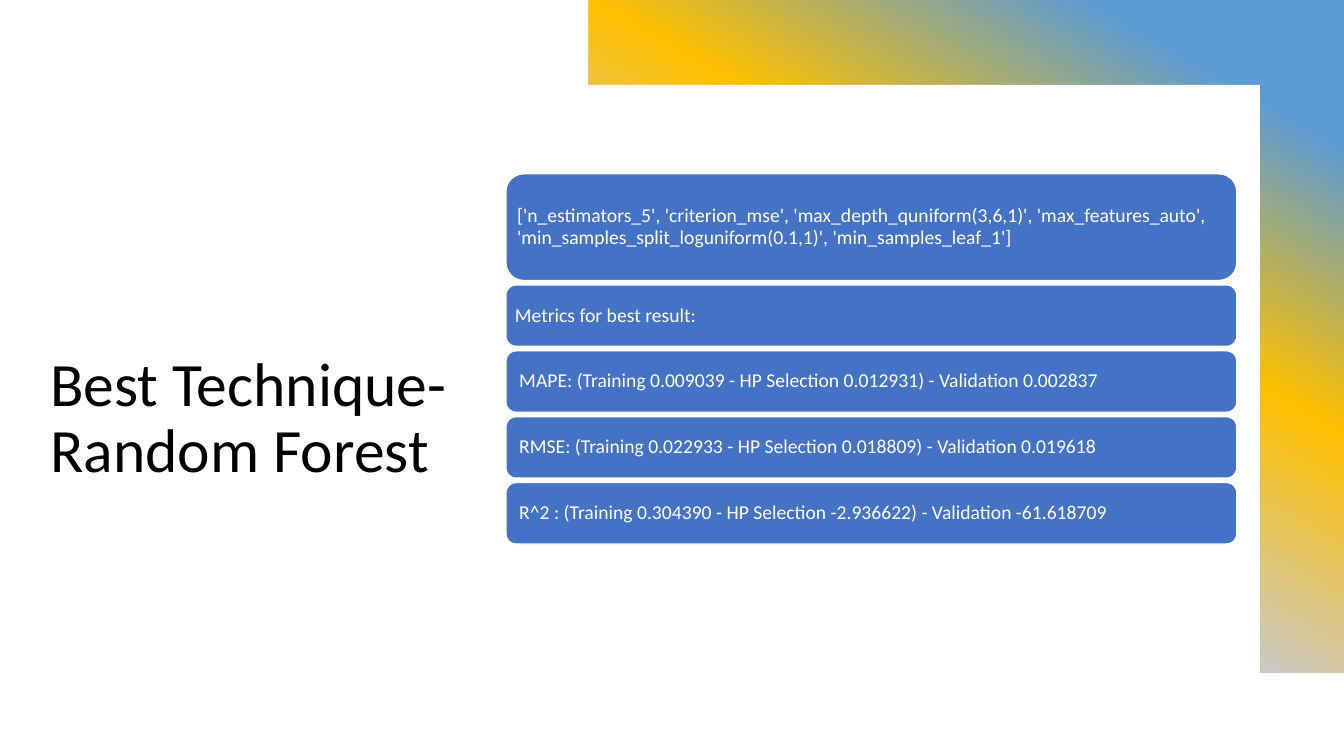
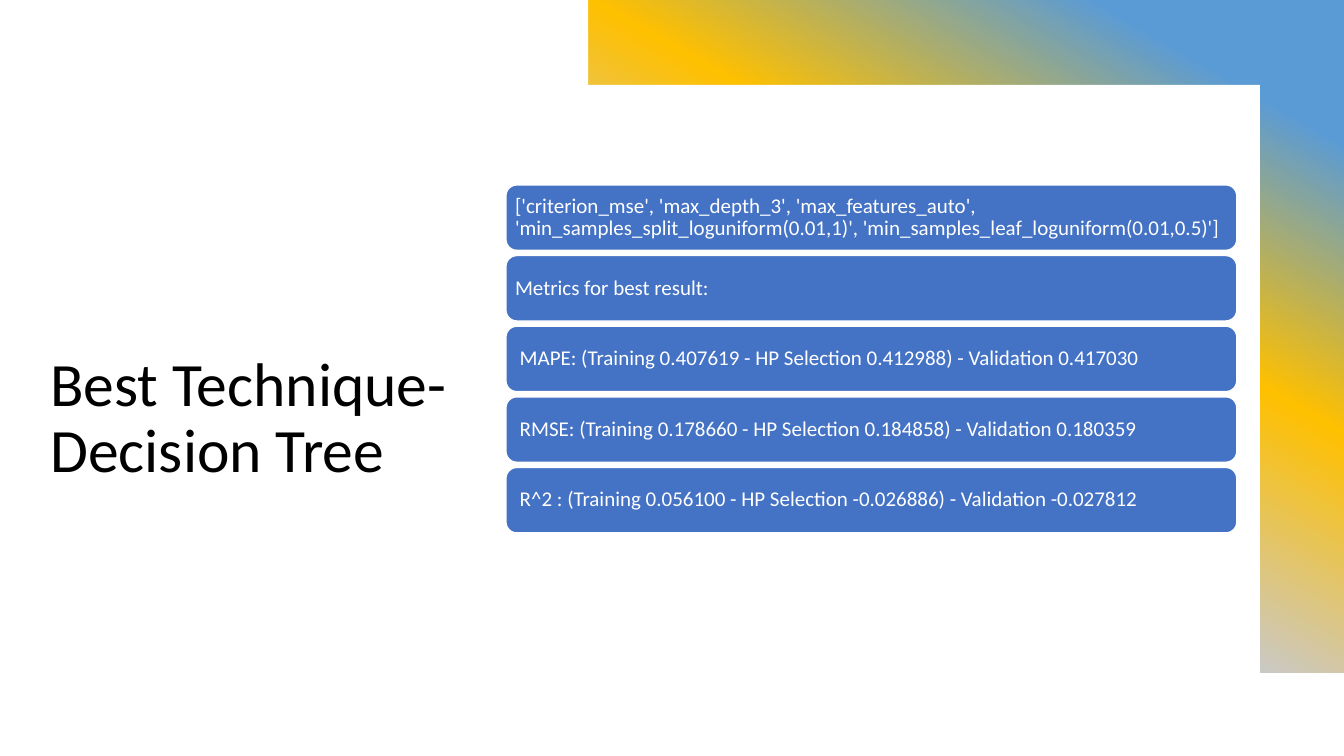
from lxml.etree import SubElement
from pptx import Presentation
from pptx.dml.color import RGBColor
from pptx.enum.shapes import MSO_SHAPE
from pptx.enum.text import MSO_ANCHOR, PP_ALIGN
from pptx.oxml.ns import qn
from pptx.util import Cm, Pt

COLORS = {
    "white": "FFFFFF",
    "black": "000000",
    "blue": "4472C4",
    "sky": "5B9BD5",
    "gold": "FFC000",
    "gray": "C9C9C9",
    "orange": "ED7D31",
}
FONT = "Calibri"
GRADIENT_STOPS = [(10, "sky"), (30, "gold"), (50, "gray"), (70, "orange"), (90, "blue")]
SLIDE_WIDTH, SLIDE_HEIGHT = 33.87, 19.05
BAND_HEIGHT = 16.95
# White panel that leaves a gradient band along the top and the right edge
PANEL_CORNERS = [(14.82, 0), (14.82, 2.14), (31.75, 2.14), (31.75, 17.15), (0, 17.15)]
BAR_LEFT, BAR_WIDTH = 12.75, 18.42

SLIDES = [
    {
        "title": "Best Technique- Random Forest",
        "top": 4.38, "gap": 0.11, "size": 14,
        "heights": [2.69, 1.55, 1.55, 1.55, 1.55],
        "bars": [
            "['n_estimators_5', 'criterion_mse', 'max_depth_quniform(3,6,1)', "
            "'max_features_auto', 'min_samples_split_loguniform(0.1,1)', "
            "'min_samples_leaf_1']",
            "Metrics for best result:",
            " MAPE: (Training 0.009039 - HP Selection 0.012931) - Validation 0.002837",
            " RMSE: (Training 0.022933 - HP Selection 0.018809) - Validation 0.019618",
            " R^2 : (Training 0.304390 - HP Selection -2.936622) - Validation -61.618709",
        ],
    },
    {
        "title": "Best Technique- Decision Tree",
        "top": 4.66, "gap": 0.13, "size": 15,
        "heights": [1.65] * 5,
        "bars": [
            "['criterion_mse', 'max_depth_3', 'max_features_auto', "
            "'min_samples_split_loguniform(0.01,1)', "
            "'min_samples_leaf_loguniform(0.01,0.5)']",
            "Metrics for best result:",
            " MAPE: (Training 0.407619 - HP Selection 0.412988) - Validation 0.417030",
            " RMSE: (Training 0.178660 - HP Selection 0.184858) - Validation 0.180359",
            " R^2 : (Training 0.056100 - HP Selection -0.026886) - Validation -0.027812",
        ],
    },
]


def write_text(shape, text, *, size, color, anchor, inset=None):
    frame = shape.text_frame
    frame.word_wrap = True
    frame.vertical_anchor = anchor
    if inset is not None:
        frame.margin_left = frame.margin_right = Cm(inset)
        frame.margin_top = frame.margin_bottom = Cm(inset)
    paragraph = frame.paragraphs[0]
    paragraph.alignment = PP_ALIGN.LEFT
    paragraph.line_spacing = 0.9
    run = paragraph.add_run()
    run.text = text
    run.font.name = FONT
    run.font.size = Pt(size)
    run.font.color.rgb = RGBColor.from_string(COLORS[color])


def add_backdrop(slide):
    """Draw the gradient area and the white panel that covers most of it."""
    band = slide.shapes.add_shape(
        MSO_SHAPE.RECTANGLE, 0, 0, Cm(SLIDE_WIDTH), Cm(BAND_HEIGHT))
    band.shadow.inherit = False
    band.line.fill.background()
    band.fill.gradient()
    band.fill.gradient_angle = 240
    stop_list = band._element.spPr.find(".//" + qn("a:gsLst"))
    for old_stop in list(stop_list):
        stop_list.remove(old_stop)
    for position, color in GRADIENT_STOPS:
        stop = SubElement(stop_list, qn("a:gs"), pos=str(position * 1000))
        SubElement(stop, qn("a:srgbClr"), val=COLORS[color])

    builder = slide.shapes.build_freeform(0, 0)
    builder.add_line_segments([(Cm(x), Cm(y)) for x, y in PANEL_CORNERS], close=True)
    panel = builder.convert_to_shape()
    panel.shadow.inherit = False
    panel.line.fill.background()
    panel.fill.solid()
    panel.fill.fore_color.rgb = RGBColor.from_string(COLORS["white"])


presentation = Presentation()
presentation.slide_width = Cm(SLIDE_WIDTH)
presentation.slide_height = Cm(SLIDE_HEIGHT)

for content in SLIDES:
    slide = presentation.slides.add_slide(presentation.slide_layouts[6])
    add_backdrop(slide)

    title = slide.shapes.add_textbox(Cm(1.02), Cm(4.6), Cm(12.73), Cm(7.77))
    write_text(title, content["title"], size=44, color="black", anchor=MSO_ANCHOR.BOTTOM)

    top = content["top"]
    for text, height in zip(content["bars"], content["heights"]):
        bar = slide.shapes.add_shape(
            MSO_SHAPE.ROUNDED_RECTANGLE, Cm(BAR_LEFT), Cm(top), Cm(BAR_WIDTH), Cm(height))
        bar.shadow.inherit = False
        bar.fill.solid()
        bar.fill.fore_color.rgb = RGBColor.from_string(COLORS["blue"])
        bar.line.color.rgb = RGBColor.from_string(COLORS["white"])
        bar.line.width = Pt(1)
        write_text(bar, text, size=content["size"], color="white",
                   anchor=MSO_ANCHOR.MIDDLE, inset=0.15)
        top += height + content["gap"]

presentation.save("out.pptx")
